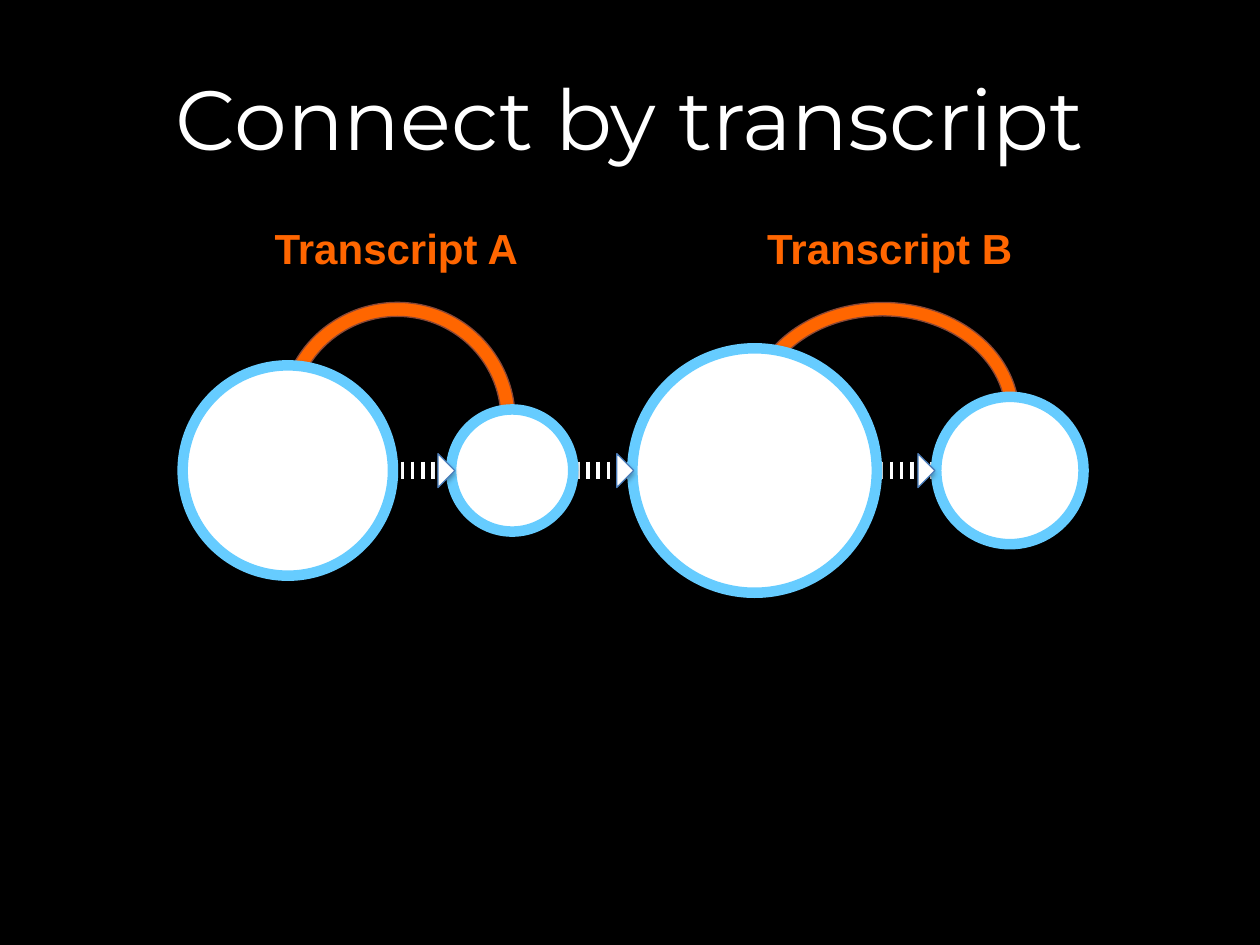
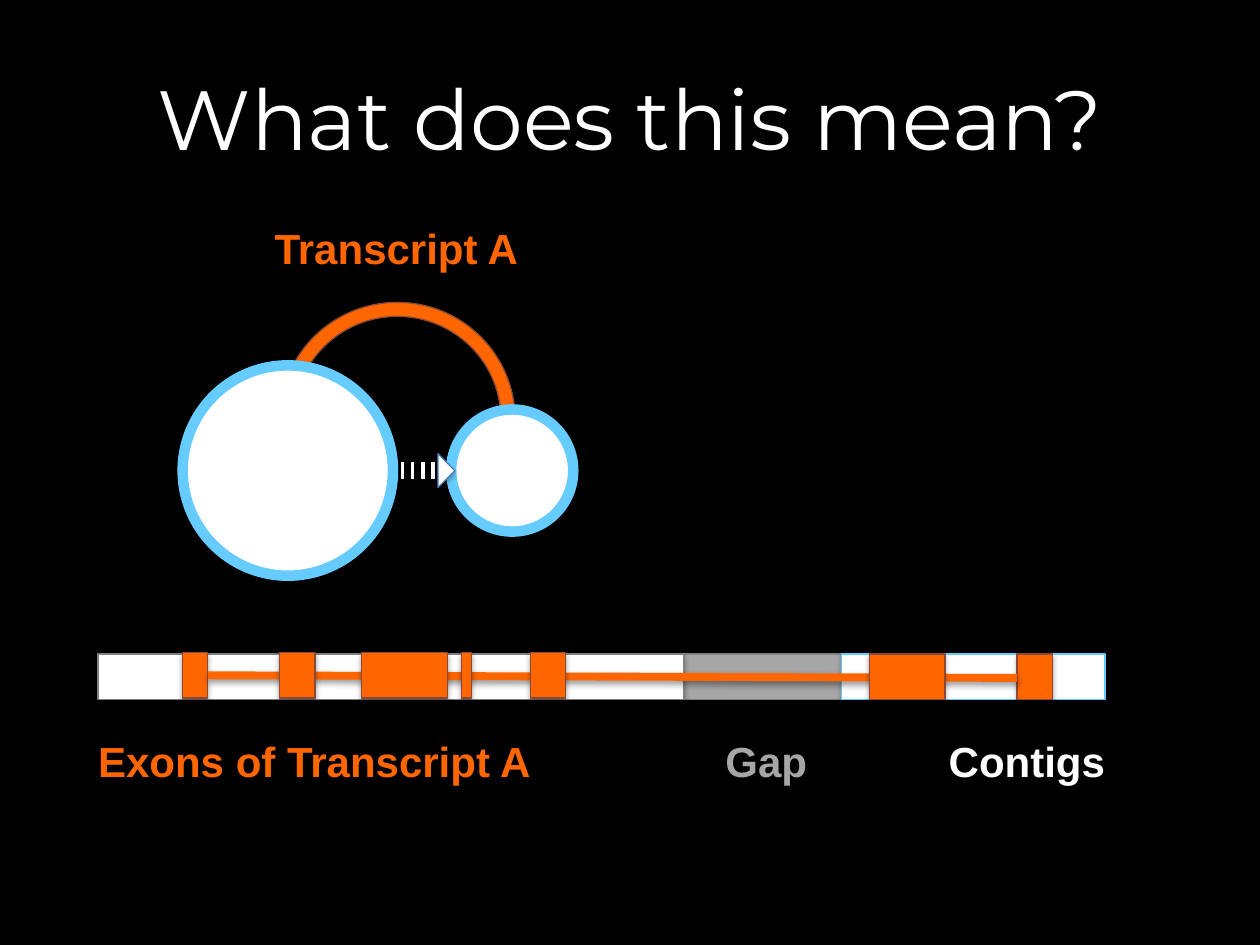
from dataclasses import dataclass
from typing import NamedTuple

from lxml import etree
from pptx import Presentation
from pptx import util as u
from pptx.dml.color import RGBColor
from pptx.enum import shapes, text
from pptx.oxml import ns

Pt = u.Pt
Preset = shapes.MSO_SHAPE


@dataclass(frozen=True)
class Theme:
    background: str = "000000"
    white: str = "FFFFFF"
    orange: str = "FF6600"
    orange_edge: str = "8B4836"
    blue: str = "66CCFF"
    arrow_edge: str = "4B7EBC"
    grey: str = "A6A6A6"
    grey_edge: str = "808080"
    title_font: str = "Montserrat"
    label_font: str = "Arial"
    title_size: float = 48
    label_size: float = 24
    thin: float = 0.75
    tick: float = 2
    intron: float = 4.5
    ring: float = 6


class Box(NamedTuple):
    left: float
    top: float
    width: float
    height: float


class Shadow(NamedTuple):
    opacity: int
    blur: float
    distance: float


class Label(NamedTuple):
    wording: str
    left: float
    top: float
    width: float
    color: str


class Contig(NamedTuple):
    left: float
    diameter: float


class Link(NamedTuple):
    ticks_left: float
    arrow_left: float


class Transcript(NamedTuple):
    label: Label
    arc: Box
    contigs: tuple[Contig, Contig]
    link: Link


class Segment(NamedTuple):
    left: float
    width: float
    top: float
    fill: str
    edge: str


THEME = Theme()
SHAPE_SHADOW = Shadow(35, 3.1, 1.8)
LINE_SHADOW = Shadow(38, 3.1, 1.6)

AXIS_Y = 268.9
TICK_COUNT, TICK_STEP, TICK_HEIGHT = 13, 5.82, 10.1
ARROW_SIZE = 13.7
ARC_TOP = 172.8
LABEL_HEIGHT = 36
NAME_TOP, LEGEND_TOP = 123.8, 416.9
STRIP_TOP, EXON_TOP, STRIP_HEIGHT = 373.7, 373, 25.9

TRANSCRIPT_A = Transcript(
    Label("Transcript A", 149.8, NAME_TOP, 154.8, THEME.orange),
    Box(159.8, ARC_TOP, 134.6, 133.9),
    (Contig(104.4, 120.2), Contig(257.8, 69.8)),
    Link(206.7, 243.4),
)
TRANSCRIPT_B = Transcript(
    Label("Transcript B", 431.3, NAME_TOP, 154.8, THEME.orange),
    Box(426.2, ARC_TOP, 156.2, 128.2),
    (Contig(361.4, 139.7), Contig(535, 84.2)),
    Link(474.5, 517.7),
)
BETWEEN_TRANSCRIPTS = Link(312.7, 345.6)


def exon(left: float, width: float, top: float = EXON_TOP) -> Segment:
    return Segment(left, width, top, THEME.orange, THEME.orange_edge)


GAP = Segment(389.5, 91.4, STRIP_TOP, THEME.grey, THEME.grey_edge)
STRIP_CONTIGS = (
    Segment(56, 334.8, STRIP_TOP, THEME.white, THEME.grey_edge),
    Segment(481, 150.5, STRIP_TOP, THEME.white, THEME.blue),
)
OUTER_EXONS = (exon(581.2, 20.2, STRIP_TOP), exon(104.4, 14.4))
INNER_EXONS = (
    exon(496.8, 43.2, STRIP_TOP),
    exon(159.8, 20.2),
    exon(206.6, 49),
    exon(263.7, 5.8),
    exon(303.1, 20.2),
)
LEGEND = (
    Label("Exons of Transcript A", 49, LEGEND_TOP, 264.2, THEME.orange),
    Label("Contigs", 535, LEGEND_TOP, 104.4, THEME.white),
    Label("Gap", 407.5, LEGEND_TOP, 61.9, THEME.grey),
)


def rgb(color: str) -> RGBColor:
    return RGBColor.from_string(color)


def cast_shadow(part, shadow: Shadow) -> None:
    effects = etree.SubElement(part._element.spPr, ns.qn("a:effectLst"))
    outer = etree.SubElement(
        effects, ns.qn("a:outerShdw"),
        blurRad=str(Pt(shadow.blur)), dist=str(Pt(shadow.distance)),
        dir="5400000", rotWithShape="0",
    )
    black = etree.SubElement(outer, ns.qn("a:srgbClr"), val="000000")
    etree.SubElement(black, ns.qn("a:alpha"), val=str(shadow.opacity * 1000))


def draw_shape(slide, preset: Preset, box: Box, fill: str, edge: str,
               edge_width: float = THEME.thin):
    part = slide.shapes.add_shape(preset, *map(Pt, box))
    part.fill.solid()
    part.fill.fore_color.rgb = rgb(fill)
    part.line.color.rgb = rgb(edge)
    part.line.width = Pt(edge_width)
    cast_shadow(part, SHAPE_SHADOW)
    return part


def draw_line(owner, start: tuple[float, float], end: tuple[float, float],
              color: str, width: float) -> None:
    line = owner.shapes.add_connector(
        shapes.MSO_CONNECTOR.STRAIGHT, *map(Pt, start + end))
    line.line.color.rgb = rgb(color)
    line.line.width = Pt(width)
    cast_shadow(line, LINE_SHADOW)


def draw_label(slide, label: Label) -> None:
    frame = slide.shapes.add_textbox(
        Pt(label.left), Pt(label.top), Pt(label.width), Pt(LABEL_HEIGHT)).text_frame
    frame.word_wrap = False
    frame.auto_size = text.MSO_AUTO_SIZE.SHAPE_TO_FIT_TEXT
    wording = frame.paragraphs[0]
    wording.text = label.wording
    wording.font.name = THEME.label_font
    wording.font.size = Pt(THEME.label_size)
    wording.font.bold = True
    wording.font.color.rgb = rgb(label.color)


def draw_arc(slide, box: Box) -> None:
    arc = draw_shape(slide, Preset.BLOCK_ARC, box, THEME.orange, THEME.orange_edge)
    for index, value in enumerate((108, 212.28, 0.06)):
        arc.adjustments[index] = value


def draw_ticks(slide, link: Link) -> None:
    ticks = slide.shapes.add_group_shape()
    for index in range(TICK_COUNT):
        x = link.ticks_left + index * TICK_STEP
        draw_line(ticks, (x, AXIS_Y - TICK_HEIGHT / 2), (x, AXIS_Y + TICK_HEIGHT / 2),
                  THEME.white, THEME.tick)


def draw_contig(slide, contig: Contig) -> None:
    size = contig.diameter
    draw_shape(slide, Preset.OVAL, Box(contig.left, AXIS_Y - size / 2, size, size),
               THEME.white, THEME.blue, THEME.ring)


def draw_arrow(slide, link: Link) -> None:
    box = Box(link.arrow_left, AXIS_Y - ARROW_SIZE / 2, ARROW_SIZE, ARROW_SIZE)
    arrow = draw_shape(slide, Preset.RIGHT_TRIANGLE, box, THEME.white, THEME.arrow_edge)
    arrow.rotation = 225


def draw_segment(slide, segment: Segment) -> None:
    box = Box(segment.left, segment.top, segment.width, STRIP_HEIGHT)
    draw_shape(slide, Preset.RECTANGLE, box, segment.fill, segment.edge)


def draw_graph(slide, transcripts: tuple[Transcript, ...],
               extra_links: tuple[Link, ...] = ()) -> None:
    links = tuple(transcript.link for transcript in transcripts) + extra_links
    for transcript in transcripts:
        draw_arc(slide, transcript.arc)
    for link in links:
        draw_ticks(slide, link)
    for transcript in transcripts:
        for contig in transcript.contigs:
            draw_contig(slide, contig)
        draw_label(slide, transcript.label)
    for link in links:
        draw_arrow(slide, link)


def draw_strip(slide) -> None:
    for segment in (GAP, *STRIP_CONTIGS, *OUTER_EXONS):
        draw_segment(slide, segment)
    draw_line(slide, (118.8, 385.9), (581.2, 387.4), THEME.orange, THEME.intron)
    for segment in INNER_EXONS:
        draw_segment(slide, segment)
    for label in LEGEND:
        draw_label(slide, label)


def add_titled_slide(deck, wording: str):
    slide = deck.slides.add_slide(deck.slide_layouts[5])
    title = slide.shapes.title
    title.left, title.top, title.width, title.height = map(Pt, Box(0, 21.6, 720, 90))
    title.text_frame.vertical_anchor = text.MSO_ANCHOR.MIDDLE
    heading = title.text_frame.paragraphs[0]
    heading.text = wording
    heading.alignment = text.PP_ALIGN.CENTER
    heading.font.name = THEME.title_font
    heading.font.size = Pt(THEME.title_size)
    heading.font.color.rgb = rgb(THEME.white)
    return slide


def main() -> None:
    deck = Presentation()
    deck.slide_width, deck.slide_height = Pt(720), Pt(540)
    backdrop = deck.slide_master.background.fill
    backdrop.solid()
    backdrop.fore_color.rgb = rgb(THEME.background)

    connect = add_titled_slide(deck, "Connect by transcript")
    draw_graph(connect, (TRANSCRIPT_A, TRANSCRIPT_B), (BETWEEN_TRANSCRIPTS,))

    meaning = add_titled_slide(deck, "What does this mean?")
    draw_graph(meaning, (TRANSCRIPT_A,))
    draw_strip(meaning)

    deck.save("out.pptx")


if __name__ == "__main__":
    main()
